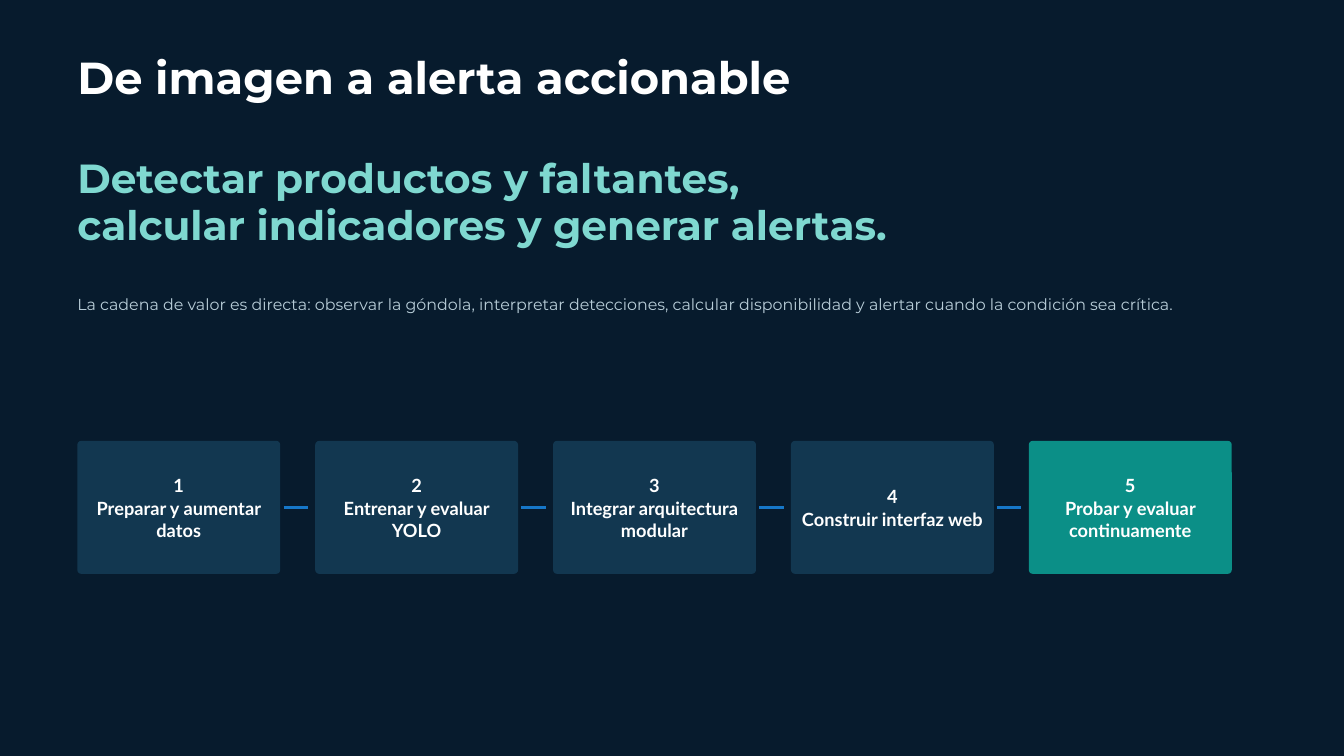
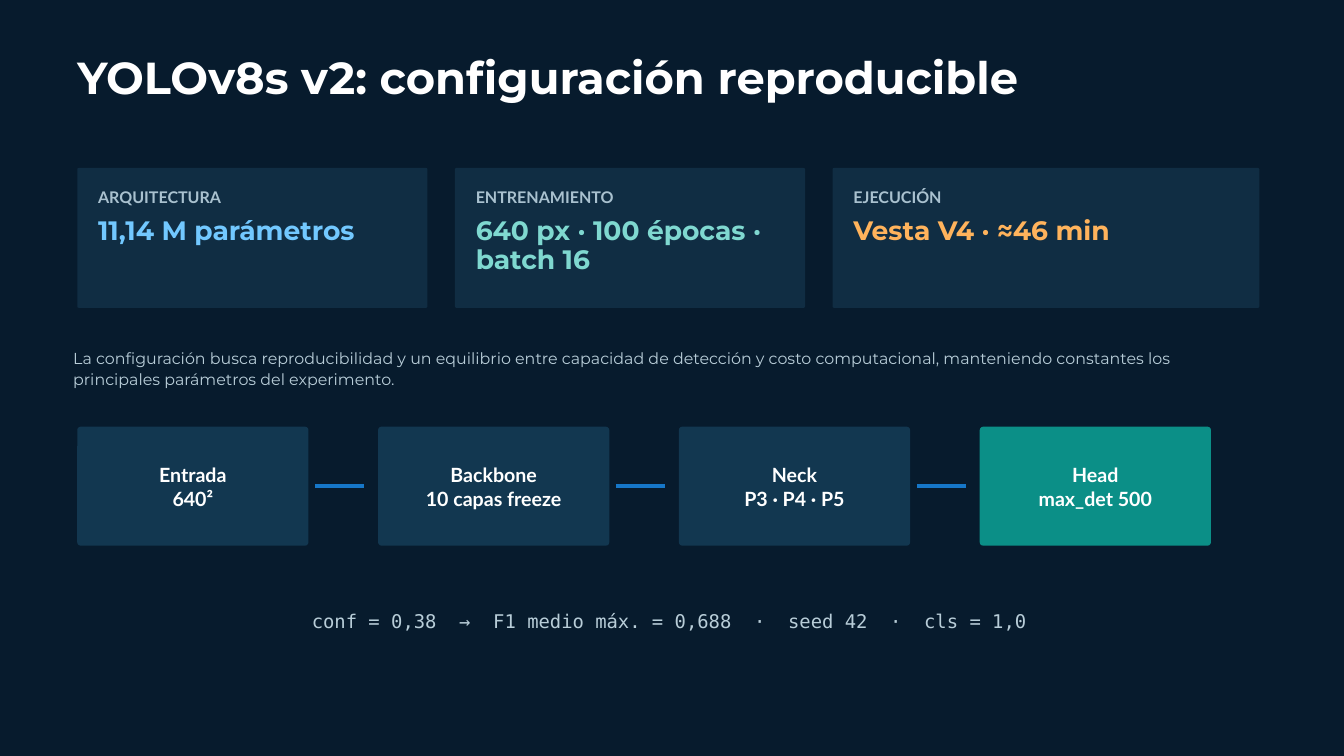
import lxml.etree
import pptx
import pptx.dml.color
import pptx.enum.shapes
import pptx.enum.text
import pptx.oxml.ns
import pptx.util

Inches = pptx.util.Inches
Pt = pptx.util.Pt
RGBColor = pptx.dml.color.RGBColor
Align = pptx.enum.text.PP_ALIGN
Anchor = pptx.enum.text.MSO_ANCHOR
Shape = pptx.enum.shapes.MSO_SHAPE

NAVY = RGBColor(0x07, 0x1B, 0x2D)
CARD = RGBColor(0x10, 0x2D, 0x43)
STEP = RGBColor(0x12, 0x37, 0x50)
TEAL = RGBColor(0x0B, 0x8F, 0x87)
BLUE = RGBColor(0x16, 0x77, 0xC8)
WHITE = RGBColor(0xFF, 0xFF, 0xFF)
MINT = RGBColor(0x7F, 0xD8, 0xD0)
SKY = RGBColor(0x72, 0xC8, 0xFF)
AMBER = RGBColor(0xFF, 0xB3, 0x5C)
MIST = RGBColor(0xB8, 0xCD, 0xD8)
LABEL = RGBColor(0xA9, 0xC1, 0xCF)

LEFT = 1.15
CONTENT_WIDTH = 17.6
CARD_GAP = 0.41


def text_style(name, size, spacing, color, bold=True):
    """Return the font values and line spacing of a text style."""
    return {"name": name, "size": Pt(size), "bold": bold, "color": color}, Pt(spacing)


TITLE = text_style("Montserrat", 48, 51.8, WHITE)
HEADLINE = text_style("Montserrat", 43.5, 50, MINT)
BODY = text_style("Montserrat", 17, 22.9, MIST, False)
CARD_LABEL = text_style("Lato", 17.2, 20.7, LABEL)
CODE = text_style("DejaVu Sans Mono", 20.2, 28.4, MIST, False)


class SlideBuilder:
    """Hold the deck style and the current page, and draw its elements."""

    def __init__(self):
        """Start an empty widescreen deck."""
        self.deck = pptx.Presentation()
        self.deck.slide_width = Inches(20)
        self.deck.slide_height = Inches(11.25)
        self.page = None

    def start_page(self, title):
        """Add a dark page with its title."""
        self.page = self.deck.slides.add_slide(self.deck.slide_layouts[6])
        self.page.background.fill.solid()
        self.page.background.fill.fore_color.rgb = NAVY
        self.text(title, LEFT, 0.82, 15.62, 0.73, TITLE)

    def set_lines(self, box, lines, style, align, anchor, inset):
        """Put one styled paragraph in the box for each line."""
        font_values, spacing = style
        frame = box.text_frame
        frame_values = {"word_wrap": True, "vertical_anchor": anchor}
        for side in ("left", "top", "right", "bottom"):
            frame_values[f"margin_{side}"] = Inches(inset)
        for key, value in frame_values.items():
            setattr(frame, key, value)
        for index, line in enumerate(lines):
            para = frame.add_paragraph() if index else frame.paragraphs[0]
            para.alignment = align
            para.line_spacing = spacing
            span = para.add_run()
            span.text = line
            for key, value in font_values.items():
                if key == "color":
                    span.font.color.rgb = value
                else:
                    setattr(span.font, key, value)

    def text(self, words, left, top, width, height, style, align=Align.LEFT):
        """Add a text box without margins."""
        box = self.page.shapes.add_textbox(
            Inches(left), Inches(top), Inches(width), Inches(height))
        self.set_lines(box, [words], style, align, Anchor.TOP, 0)
        box.text_frame.auto_size = pptx.enum.text.MSO_AUTO_SIZE.SHAPE_TO_FIT_TEXT

    def panel(self, left, top, width, height, radius, color):
        """Add a flat rounded rectangle and return it."""
        box = self.page.shapes.add_shape(
            Shape.ROUNDED_RECTANGLE,
            Inches(left), Inches(top), Inches(width), Inches(height))
        box.adjustments[0] = radius / height
        box.shadow.inherit = False
        box.fill.solid()
        box.fill.fore_color.rgb = color
        box.line.fill.background()
        return box

    def card(self, left, width, label, value, color):
        """Add a card with a small label above a large value."""
        self.panel(left, 2.5, width, 2.08, 0.02, CARD)
        inner_left, inner_width = left + 0.31, width - 0.62
        value_style = text_style("Montserrat", 28.5, 31.4, color)
        self.text(label, inner_left, 2.79, inner_width, 0.28, CARD_LABEL)
        self.text(value, inner_left, 3.22, inner_width, 0.44, value_style)

    def link(self, left, top, length, weight):
        """Add a horizontal line between two steps."""
        line = self.page.shapes.add_connector(
            pptx.enum.shapes.MSO_CONNECTOR.STRAIGHT,
            Inches(left), Inches(top), Inches(left + length), Inches(top))
        line.line.color.rgb = BLUE
        line.line.width = Pt(weight)
        lxml.etree.SubElement(line._element.spPr, pptx.oxml.ns.qn("a:effectLst"))

    def flow(self, steps, top, width, height, right, style, radius,
             link_gap, link_length, link_weight):
        """Spread steps evenly up to the right edge and highlight the last."""
        last = len(steps) - 1
        pitch = (right - LEFT - width) / last
        for index, lines in enumerate(steps):
            left = LEFT + index * pitch
            color = TEAL if index == last else STEP
            box = self.panel(left, top, width, height, radius, color)
            self.set_lines(box, lines, style, Align.CENTER, Anchor.MIDDLE, 0.06)
            if index < last:
                self.link(left + width + link_gap, top + height / 2,
                          link_length, link_weight)


def build_value_chain(builder):
    """Build the page that leads from image to alert."""
    builder.start_page("De imagen a alerta accionable")
    builder.text("Detectar productos y faltantes, calcular indicadores y generar alertas.",
                 LEFT, 2.31, 12.4, 1.38, HEADLINE)
    stages = ["Preparar y aumentar datos", "Entrenar y evaluar YOLO",
              "Integrar arquitectura modular", "Construir interfaz web",
              "Probar y evaluar continuamente"]
    steps = [(str(number), stage) for number, stage in enumerate(stages, 1)]
    builder.flow(steps, top=6.56, width=3.02, height=1.98, right=18.33,
                 style=text_style("Lato", 19.5, 24.4, WHITE), radius=0.06,
                 link_gap=0.05, link_length=0.36, link_weight=3)
    builder.text("La cadena de valor es directa: observar la góndola, interpretar "
                 "detecciones, calcular disponibilidad y alertar cuando la condición "
                 "sea crítica.", LEFT, 4.35, CONTENT_WIDTH, 0.3, BODY)


def build_configuration(builder):
    """Build the page with the training configuration."""
    builder.start_page("YOLOv8s v2: configuración reproducible")
    cards = [
        (5.21, "ARQUITECTURA", "11,14 M parámetros", SKY),
        (5.21, "ENTRENAMIENTO", "640 px · 100 épocas · batch 16", MINT),
        (6.35, "EJECUCIÓN", "Vesta V4 · ≈46 min", AMBER),
    ]
    left = LEFT
    for width, label, value, color in cards:
        builder.card(left, width, label, value, color)
        left += width + CARD_GAP
    steps = [("Entrada", "640²"), ("Backbone", "10 capas freeze"),
             ("Neck", "P3 · P4 · P5"), ("Head", "max_det 500")]
    builder.flow(steps, top=6.35, width=3.44, height=1.77, right=18.02,
                 style=text_style("Lato", 21, 26.2, WHITE), radius=0.05,
                 link_gap=0.1, link_length=0.73, link_weight=3.75)
    builder.text("conf = 0,38  →  F1 medio máx. = 0,688  ·  seed 42  ·  cls = 1,0",
                 LEFT, 9.01, CONTENT_WIDTH, 0.38, CODE, Align.CENTER)
    builder.text("La configuración busca reproducibilidad y un equilibrio entre "
                 "capacidad de detección y costo computacional, manteniendo "
                 "constantes los principales parámetros del experimento.",
                 1.09, 5.15, CONTENT_WIDTH, 0.61, BODY)


def main():
    """Build and save the deck."""
    builder = SlideBuilder()
    build_value_chain(builder)
    build_configuration(builder)
    builder.deck.save("out.pptx")


if __name__ == "__main__":
    main()
